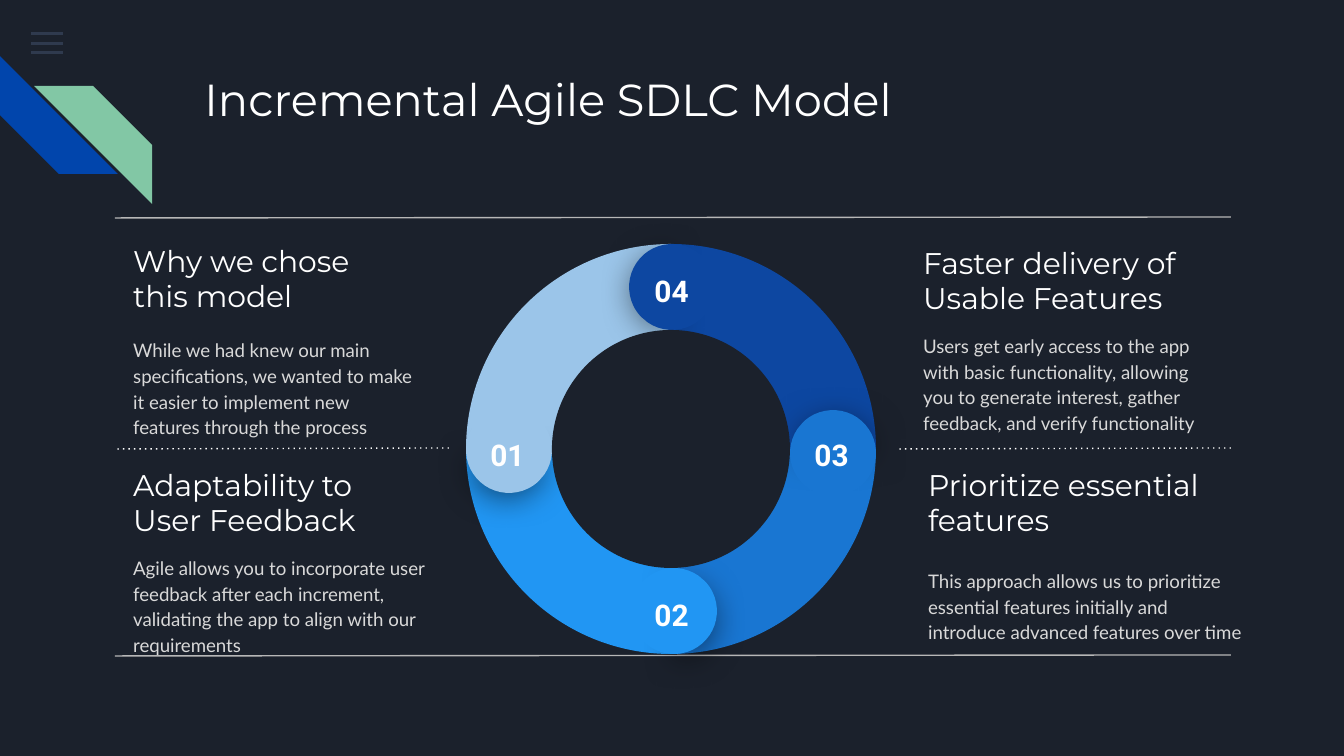
from lxml import etree
from pptx import Presentation, util as u
from pptx.dml.color import RGBColor
from pptx.enum import dml, shapes, text
from pptx.oxml.ns import qn

PX = 914400 / 134.4
NAVY = RGBColor(0x1B, 0x21, 0x2C)
WHITE = RGBColor(0xFF, 0xFF, 0xFF)
BODY_GREY = RGBColor(0xD9, 0xD9, 0xD9)
RULE_GREY = RGBColor(0xB7, 0xB7, 0xB7)
MENU_BLUE = RGBColor(0x55, 0x68, 0x8B)
ROYAL = RGBColor(0x01, 0x45, 0xAC)
MINT = RGBColor(0x82, 0xC7, 0xA5)
PALE = RGBColor(0x9B, 0xC5, 0xE9)
DEEP = RGBColor(0x0D, 0x47, 0xA1)
MID = RGBColor(0x19, 0x76, 0xD2)
BRIGHT = RGBColor(0x21, 0x96, 0xF3)
KIND = shapes.MSO_SHAPE


def px(*lengths):
    return [u.Emu(round(n * PX)) for n in lengths]


class Deck:
    """Style helpers for the current slide."""

    def __init__(self, width, height):
        self.prs = Presentation()
        self.prs.slide_width, self.prs.slide_height = px(width, height)
        self.slide = self.prs.slides.add_slide(self.prs.slide_layouts[5])
        self.slide.background.fill.solid()
        self.slide.background.fill.fore_color.rgb = NAVY

    def group(self):
        return self.slide.shapes.add_group_shape().shapes

    def shape(self, kind, box, color, rotation=0, adjust=(), parent=None, alpha=None, shadow=False):
        shape = (parent or self.slide.shapes).add_shape(kind, *px(*box))
        shape.shadow.inherit = False
        shape.fill.solid()
        shape.fill.fore_color.rgb = color
        shape.line.fill.background()
        shape.rotation = rotation
        for i, value in enumerate(adjust):
            shape.adjustments[i] = value
        props = shape._element.spPr
        if alpha:
            rgb = props.find(qn("a:solidFill")).find(qn("a:srgbClr"))
            etree.SubElement(rgb, qn("a:alpha"), val=str(alpha * 1000))
        if shadow:
            outer = etree.SubElement(props.find(qn("a:effectLst")), qn("a:outerShdw"),
                                     blurRad=str(u.Pt(18)), dist=str(u.Pt(4)),
                                     dir="5400000", algn="bl", rotWithShape="0")
            rgb = etree.SubElement(outer, qn("a:srgbClr"), val="000000")
            etree.SubElement(rgb, qn("a:alpha"), val="55000")

    def set_text(self, frame, words, font, size, color, anchor, align, bold=False):
        frame.word_wrap = True
        frame.auto_size = text.MSO_AUTO_SIZE.NONE
        frame.vertical_anchor = anchor
        frame.margin_left = frame.margin_right = u.Inches(0.1)
        frame.margin_top = frame.margin_bottom = u.Inches(0.1)
        paragraph = frame.paragraphs[0]
        paragraph.text = words
        paragraph.alignment = align
        paragraph.font.name, paragraph.font.size = font, u.Pt(size)
        paragraph.font.bold = bold
        paragraph.font.color.rgb = color
        return paragraph

    def title(self, box, words):
        title = self.slide.shapes.title
        title.left, title.top, title.width, title.height = px(*box)
        self.set_text(title.text_frame, words, "Montserrat", 24, WHITE,
                      text.MSO_ANCHOR.TOP, text.PP_ALIGN.LEFT)

    def textbox(self, box):
        return self.slide.shapes.add_textbox(*px(*box)).text_frame

    def heading(self, box, words):
        self.set_text(self.textbox(box), words, "Montserrat", 16, WHITE,
                      text.MSO_ANCHOR.MIDDLE, text.PP_ALIGN.LEFT)

    def body(self, box, words):
        paragraph = self.set_text(self.textbox(box), words, "Lato", 10, BODY_GREY,
                                  text.MSO_ANCHOR.MIDDLE, text.PP_ALIGN.LEFT)
        paragraph.line_spacing = 1.15
        paragraph.space_after = u.Pt(16)

    def number(self, x, y, words):
        self.set_text(self.textbox((x, y, 75, 39)), words, "Roboto", 16, WHITE,
                      text.MSO_ANCHOR.TOP, text.PP_ALIGN.CENTER, bold=True)

    def rule(self, left, right, y, color, dotted=False):
        line = self.slide.shapes.add_connector(
            shapes.MSO_CONNECTOR.STRAIGHT, *px(right, y, left, y + 1))
        line.line.color.rgb = color
        line.line.width = u.Pt(0.75)
        if dotted:
            line.line.dash_style = dml.MSO_LINE.SQUARE_DOT
            line._element.spPr.find(qn("a:ln")).find(qn("a:prstDash")).set("val", "dot")
        etree.SubElement(line._element.spPr, qn("a:effectLst"))


def main():
    deck = Deck(1344, 756)

    # Menu icon and corner stripes
    for y in (32, 42, 51):
        deck.shape(KIND.RECTANGLE, (31, y, 32, 3), MENU_BLUE, alpha=36)
    corner = deck.group()
    deck.shape(KIND.DIAGONAL_STRIPE, (0, 56, 118, 118), ROYAL, 270, [0.5], corner)
    deck.shape(KIND.DIAGONAL_STRIPE, (34, 86, 118, 118), MINT, 90, [0.5], corner)

    deck.title((191, 58, 1035, 134), "Incremental Agile SDLC Model")

    # Four reasons around the ring
    reasons = [
        ((120, 245, 273, 66), "Why we chose this model", (120, 325, 313, 124),
         "While we had knew our main specifications, we wanted to make it easier "
         "to implement new features through the process"),
        ((120, 469, 273, 66), "Adaptability to User Feedback", (120, 554, 329, 102),
         "Agile allows you to incorporate user feedback after each increment, "
         "validating the app to align with our requirements"),
        ((910, 247, 325, 66), "Faster delivery of Usable Features", (910, 325, 325, 116),
         "Users get early access to the app with basic functionality, allowing you "
         "to generate interest, gather feedback, and verify functionality"),
        ((915, 469, 317, 66), "Prioritize essential features", (915, 554, 340, 102),
         "This approach allows us to prioritize essential features initially and "
         "introduce advanced features over time"),
    ]
    for heading_box, heading, body_box, body in reasons:
        deck.heading(heading_box, heading)
        deck.body(body_box, body)

    # Rules between the rows
    deck.rule(115, 1231, 217, RULE_GREY)
    deck.rule(115, 449, 448, WHITE, dotted=True)
    deck.rule(897, 1231, 448, WHITE, dotted=True)
    deck.rule(115, 1231, 655, RULE_GREY)

    # Ring quarters, clockwise from the upper left
    for turn, color in enumerate((PALE, DEEP, MID, BRIGHT)):
        deck.shape(KIND.PIE, (466, 244, 410, 410), color, 90 * turn, (107.957, 162.013))

    # Rounded ends with their numbers, counter-clockwise from the left
    usual, wide = (189.535, 83.81), (196.87, 77.71)
    ends = [
        (PALE, (468, 413), (466, 407), (470, 423), usual),
        (BRIGHT, (637, 575), (631, 568), (634, 583), usual),
        (MID, (797, 413), (790, 410), (794, 423), wide),
        (DEEP, (632, 246), (629, 244), (634, 259), usual),
    ]
    for i, (color, shade, cap, label, arc) in enumerate(ends):
        end = deck.group()
        turn = -90 * i
        deck.shape(KIND.PIE, (*shade, 77, 77), color, (39.5 + turn) % 360, arc, end, shadow=True)
        deck.shape(KIND.CHORD, (*cap, 86, 86), color, (4.1 + turn) % 360, (25.006, 18.12), end)
        deck.number(*label, f"{i + 1:02}")

    # Ring centre
    deck.shape(KIND.OVAL, (552, 330, 238, 238), NAVY)

    deck.prs.save("out.pptx")


if __name__ == "__main__":
    main()
